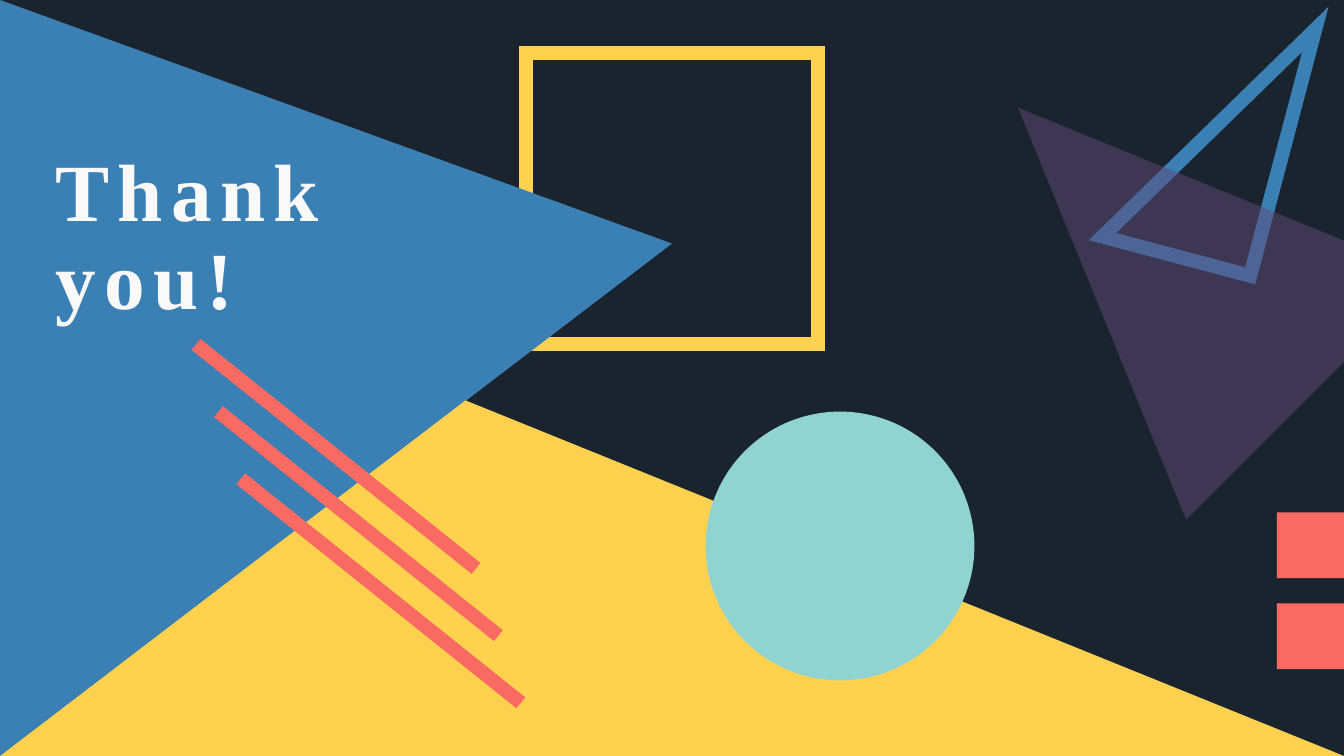
import pptx
import pptx.util
import pptx.dml.color
import pptx.enum.shapes
import pptx.enum.text
from lxml import etree

Pt = pptx.util.Pt
SHAPE = pptx.enum.shapes.MSO_SHAPE

# Content and colours
TITLE = "Thank\vyou!"
FONT = "Times New Roman"
NIGHT, BLUE, YELLOW, TEAL = "1A242E", "3B80B5", "FFD14F", "90D4D2"
CORAL, PURPLE, WHITE = "F96A62", "604A7B", "F9F9F9"
STROKE = 20

# Geometry in points
SLIDE = (1920, 1080)
FRAME = (752, 76, 416, 416)
BLUE_WEDGE = [(0, 0), (960, 348), (0, 1080)]
YELLOW_WEDGE = [(1920, 1080), (665, 572), (0, 1080)]
CIRCLE = (1008, 588, 384, 384)
STRIPE, STRIPE_STEP, STRIPE_COUNT = ((680, 812), (280, 492)), (32, 96), 3
OUTLINE_TRIANGLE = [(1786, 394), (1879, 42), (1575, 338)]
PURPLE_TRIANGLE = (1415, 68, 493, 586)
TITLE_BOX = (72, 208, 544, 268)
BAR, BAR_STEP, BAR_COUNT = (1824, 732, 96, 94), 130, 2


def rgb(colour):
    return pptx.dml.color.RGBColor.from_string(colour)


def add_xml(parent, tag, **attributes):
    return etree.SubElement(parent, pptx.oxml.ns.qn(tag), **attributes)


def paint(shape, fill=None, line=None):
    shape.shadow.inherit = False
    if fill:
        shape.fill.solid()
        shape.fill.fore_color.rgb = rgb(fill)
    else:
        shape.fill.background()
    if line:
        shape.line.color.rgb = rgb(line)
        shape.line.width = Pt(STROKE)
        add_xml(shape.line._get_or_add_ln(), "a:miter", lim="800000")
    else:
        shape.line.fill.background()
    return shape


def add_preset(page, kind, box, **colours):
    return paint(page.shapes.add_shape(kind, *map(Pt, box)), **colours)


def add_polygon(page, points, **colours):
    start, *others = [(Pt(x), Pt(y)) for x, y in points]
    builder = page.shapes.build_freeform(*start, scale=1.0)
    builder.add_line_segments(others, close=True)
    return paint(builder.convert_to_shape(), **colours)


def add_stripe(page, index):
    ends = [Pt(value + index * step)
            for point in STRIPE for value, step in zip(point, STRIPE_STEP)]
    stripe = page.shapes.add_connector(
        pptx.enum.shapes.MSO_CONNECTOR.STRAIGHT, *ends)
    stripe.line.color.rgb = rgb(CORAL)
    stripe.line.width = Pt(STROKE)
    add_xml(stripe.element.spPr, "a:effectLst")


def place_title(page):
    title = page.shapes.title
    title.left, title.top, title.width, title.height = map(Pt, TITLE_BOX)
    title.element.getparent().append(title.element)  # above the shapes
    frame = title.text_frame
    frame.text = TITLE
    frame.word_wrap = True
    frame.vertical_anchor = pptx.enum.text.MSO_ANCHOR.MIDDLE
    frame.margin_left = frame.margin_right = Pt(7.2)
    frame.margin_top = frame.margin_bottom = Pt(7.2)
    para = frame.paragraphs[0]
    para.alignment = pptx.enum.text.PP_ALIGN.LEFT
    para.line_spacing = 0.9
    for span in para.runs:
        span.font.name = FONT
        span.font.size = Pt(116)
        span.font.bold = True
        span.font.color.rgb = rgb(WHITE)
        span.font._element.set("spc", "1200")


def main():
    deck = pptx.Presentation()
    deck.slide_width, deck.slide_height = map(Pt, SLIDE)
    page = deck.slides.add_slide(deck.slide_layouts[5])
    page.background.fill.solid()
    page.background.fill.fore_color.rgb = rgb(NIGHT)

    # Left and centre shapes
    add_preset(page, SHAPE.RECTANGLE, FRAME, line=YELLOW)
    add_polygon(page, BLUE_WEDGE, fill=BLUE)
    add_polygon(page, YELLOW_WEDGE, fill=YELLOW)
    add_preset(page, SHAPE.OVAL, CIRCLE, fill=TEAL)
    for index in range(STRIPE_COUNT):
        add_stripe(page, index)

    # Overlapping triangles
    add_polygon(page, OUTLINE_TRIANGLE, line=BLUE)
    veil = add_preset(page, SHAPE.ISOSCELES_TRIANGLE, PURPLE_TRIANGLE, fill=PURPLE)
    veil.rotation = 315
    colour = veil.element.spPr.find(".//" + pptx.oxml.ns.qn("a:srgbClr"))
    add_xml(colour, "a:alpha", val="50000")

    place_title(page)

    # Bars at the right edge
    left, top, width, height = BAR
    for index in range(BAR_COUNT):
        box = (left, top + index * BAR_STEP, width, height)
        add_preset(page, SHAPE.RECTANGLE, box, fill=CORAL)

    deck.save("out.pptx")


if __name__ == "__main__":
    main()
